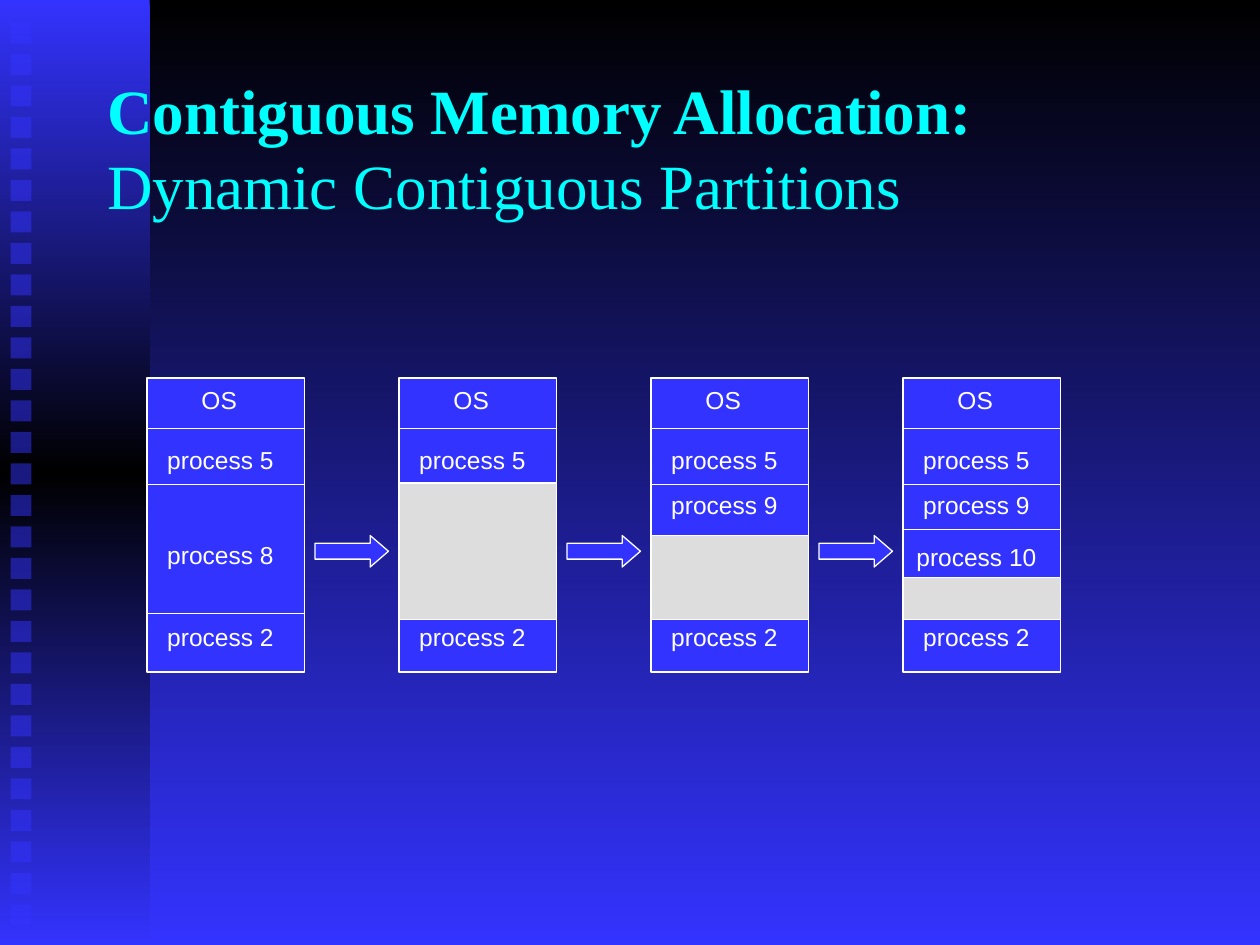
from copy import deepcopy
from dataclasses import dataclass

from lxml import etree
from pptx import Presentation
from pptx import util as u
from pptx.dml.color import RGBColor as Rgb
from pptx.enum import shapes, text
from pptx.oxml.ns import qn


@dataclass(frozen=True)
class Theme:
    blue: Rgb = Rgb(0x33, 0x33, 0xFF)
    black: Rgb = Rgb(0, 0, 0)
    white: Rgb = Rgb(0xFF, 0xFF, 0xFF)
    cyan: Rgb = Rgb(0, 0xFF, 0xFF)
    gray: Rgb = Rgb(0xDD, 0xDD, 0xDD)
    serif: str = "Times New Roman"
    sans: str = "Arial"
    head: int = 36
    label: int = 14
    line: float = 0.75


def shade(fill, *tones):
    """Fill from top to bottom with evenly spaced tones."""
    fill.gradient()
    fill.gradient_angle = 270
    first = fill.gradient_stops[0]._gs
    for _ in tones[2:]:
        first.addnext(deepcopy(first))
    for i, (stop, tone) in enumerate(zip(fill.gradient_stops, tones)):
        stop.position = i / (len(tones) - 1)
        stop.color.rgb = tone


class Painter:
    def __init__(self, slide, theme):
        self.slide, self.theme = slide, theme

    def shape(self, kind, left, top, width, height):
        item = self.slide.shapes.add_shape(
            kind, u.Pt(left), u.Pt(top), u.Pt(width), u.Pt(height))
        item.shadow.inherit = False
        return item

    def block(self, left, top, width, height, color,
              kind=shapes.MSO_SHAPE.RECTANGLE):
        item = self.shape(kind, left, top, width, height)
        item.fill.solid()
        item.fill.fore_color.rgb = color
        item.line.color.rgb = self.theme.white
        item.line.width = u.Pt(self.theme.line)
        return item

    def arrow(self, left, top, width, height):
        item = self.block(left, top, width, height, self.theme.blue,
                          shapes.MSO_SHAPE.RIGHT_ARROW)
        item.adjustments[1] = 0.58

    def strip(self, width, height):
        item = self.shape(shapes.MSO_SHAPE.RECTANGLE, 0, 0, width, height)
        shade(item.fill, self.theme.blue, self.theme.black, self.theme.blue)
        item.line.fill.background()

    def dot(self, left, top, size):
        item = self.shape(shapes.MSO_SHAPE.RECTANGLE, left, top, size, size)
        item.fill.solid()
        item.fill.fore_color.rgb = self.theme.blue
        item.line.fill.background()
        tone = item.element.spPr.find(qn("a:solidFill"))[0]
        etree.SubElement(tone, qn("a:alpha"), val="50000")

    def rule(self, left, top, width):
        line = self.slide.shapes.add_connector(
            shapes.MSO_CONNECTOR.STRAIGHT,
            u.Pt(left), u.Pt(top), u.Pt(left + width), u.Pt(top))
        line.line.color.rgb = self.theme.white
        line.line.width = u.Pt(self.theme.line)
        etree.SubElement(line.element.spPr, qn("a:effectLst"))

    def label(self, words, left, top, width, wrap=True):
        box = self.slide.shapes.add_textbox(
            u.Pt(left), u.Pt(top), u.Pt(width), u.Pt(24.5))
        frame = box.text_frame
        frame.word_wrap = wrap
        frame.auto_size = text.MSO_AUTO_SIZE.SHAPE_TO_FIT_TEXT
        frame.vertical_anchor = text.MSO_ANCHOR.MIDDLE
        par = frame.paragraphs[0]
        par.text = words
        par.alignment = text.PP_ALIGN.CENTER
        par.font.name = self.theme.sans
        par.font.size = u.Pt(self.theme.label)
        par.font.color.rgb = self.theme.white

    def title(self, bold, plain, left, top, width, height):
        item = self.slide.shapes.title
        item.left, item.top = u.Pt(left), u.Pt(top)
        item.width, item.height = u.Pt(width), u.Pt(height)
        # Bring the title in front of the side strip
        item.element.getparent().append(item.element)
        frame = item.text_frame
        frame.auto_size = text.MSO_AUTO_SIZE.NONE
        frame.vertical_anchor = text.MSO_ANCHOR.MIDDLE
        par = frame.paragraphs[0]
        par.alignment = text.PP_ALIGN.LEFT
        par.font.name = self.theme.serif
        par.font.size = u.Pt(self.theme.head)
        par.font.color.rgb = self.theme.cyan
        run = par.add_run()
        run.text = bold
        run.font.bold = True
        par.add_line_break()
        par.add_run().text = plain


# Each stage: divider heights, free space top, process labels with tops
STAGES = [
    ((245, 277, 350.5), None, {"process 8": 304.5}),
    ((245,), 276, {}),
    ((245, 277), 306, {"process 9": 276}),
    ((245, 277, 302.5), 330, {"process 9": 276, "process 10": 306}),
]
FIXED = {"process 5": 250.5, "process 2": 351.5}
LEFT, STEP, WIDE = 84, 144, 90
TOP, TALL, FREE_END = 216, 168, 354


def main():
    deck = Presentation()
    deck.slide_width, deck.slide_height = u.Pt(720), u.Pt(540)
    slide = deck.slides.add_slide(deck.slide_layouts[5])
    theme = Theme()
    pen = Painter(slide, theme)

    # Background and side strip
    shade(slide.background.fill, theme.black, theme.blue)
    pen.strip(85.5, 540)
    for i in range(29):
        pen.dot(6, 12.75 + 18 * i, 12)

    pen.title("Contiguous Memory Allocation:", "Dynamic Contiguous Partitions",
              54, 30, 612, 108)

    # Memory at each stage
    for i, (cuts, free, names) in enumerate(STAGES):
        left = LEFT + STEP * i
        pen.block(left, TOP, WIDE, TALL, theme.blue)
        for cut in cuts:
            pen.rule(left, cut, WIDE)
        if free:
            pen.block(left, free, WIDE, FREE_END - free, theme.gray)
        pen.label("OS", left + 24, TOP, 34.5, wrap=False)
        for name, top in (FIXED | names).items():
            pen.label(name, left, top, 84)

    # Arrows between stages
    for i in range(len(STAGES) - 1):
        pen.arrow(LEFT + STEP * i + WIDE + 6, 306, 42, 18)

    deck.save("out.pptx")


if __name__ == "__main__":
    main()
